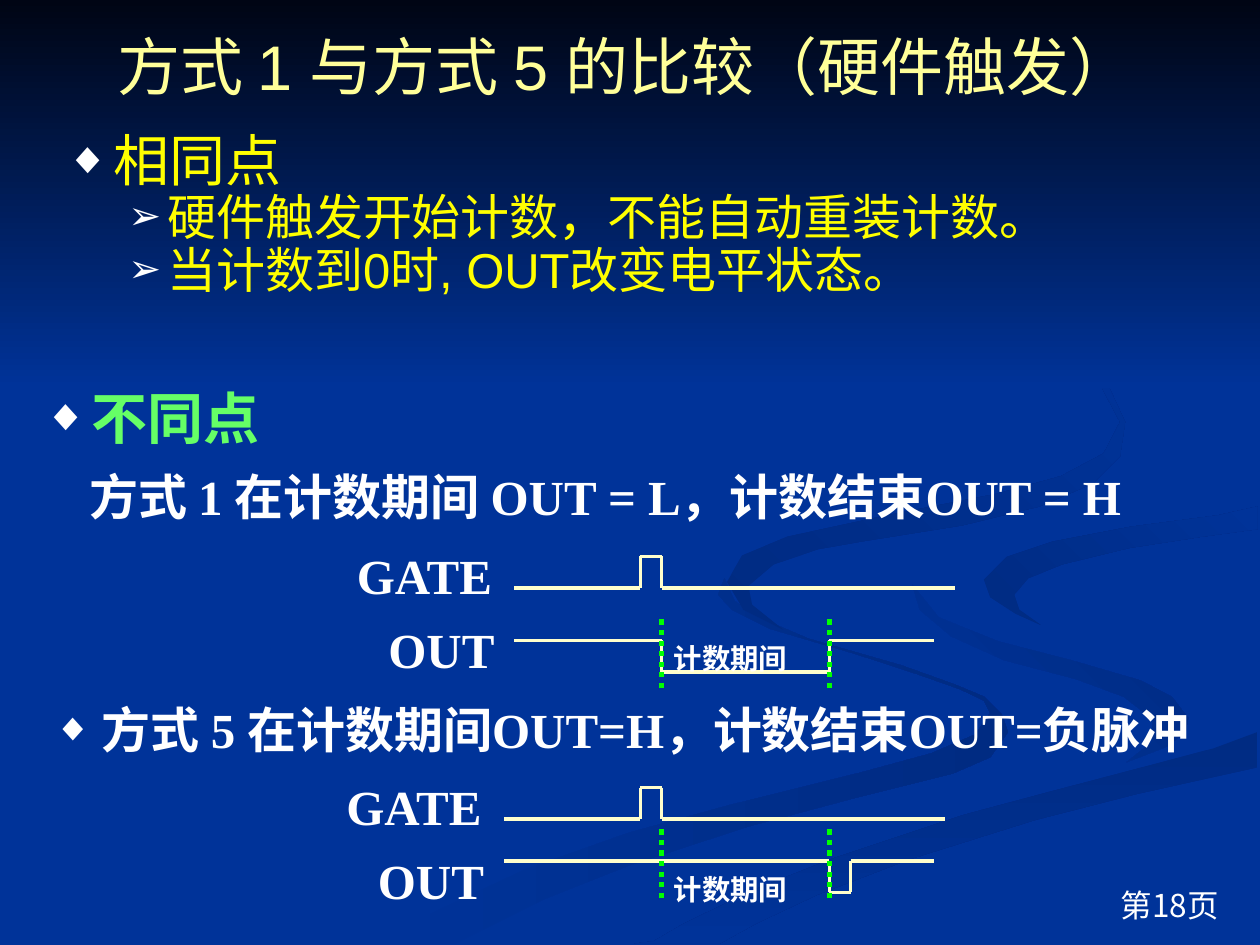
from itertools import pairwise

from lxml import etree
from pptx import Presentation
from pptx.dml.color import RGBColor
from pptx.enum.dml import MSO_LINE
from pptx.enum.shapes import MSO_CONNECTOR, MSO_SHAPE
from pptx.enum.text import MSO_ANCHOR, PP_ALIGN
from pptx.oxml.ns import qn
from pptx.util import Emu, Inches, Pt

RECT = MSO_SHAPE.RECTANGLE
STRAIGHT = MSO_CONNECTOR.STRAIGHT
DOT = MSO_LINE.ROUND_DOT
MIDDLE = MSO_ANCHOR.MIDDLE
CENTER, RIGHT = PP_ALIGN.CENTER, PP_ALIGN.RIGHT

BLUE = RGBColor(0x00, 0x33, 0x99)
NIGHT = RGBColor(0x00, 0x05, 0x14)
SHADE = RGBColor(0x00, 0x2B, 0x82)
WHITE = RGBColor(0xFF, 0xFF, 0xFF)
CREAM = RGBColor(0xFF, 0xFF, 0xCC)
PALE = RGBColor(0xFF, 0xFF, 0x99)
YELLOW = RGBColor(0xFF, 0xFF, 0x00)
LIME = RGBColor(0x66, 0xFF, 0x66)
GREEN = RGBColor(0x00, 0xFF, 0x00)

SANS, SERIF, HAN = "Arial", "Times New Roman", "Noto Sans CJK SC"
UNIT = Inches(1) // 12
CENT = Inches(1) // 100

SWIRLS = [
    (0, BLUE, SHADE, [
        (781, 553), (757, 543), (715, 528), (642, 507), (602, 490),
        (583, 477), (575, 459), (570, 472), (581, 484), (611, 499),
        (679, 519), (728, 535), (762, 547), (781, 556), (786, 566),
        (774, 583), (739, 598), (684, 613), (579, 639), (499, 661),
        (417, 690), (338, 727), (300, 749), (361, 749), (431, 714),
        (499, 687), (594, 656), (676, 634), (756, 614), (786, 601),
        (800, 581), (795, 567)]),
    (315, BLUE, SHADE, [
        (943, 570), (930, 553), (905, 540), (850, 524), (792, 509),
        (745, 490), (724, 464), (730, 484), (755, 505), (797, 524),
        (854, 539), (892, 553), (915, 571), (914, 589), (894, 605),
        (925, 593), (941, 581)]),
    (90, SHADE, BLUE, [
        (519, 747), (503, 749), (571, 749), (600, 733), (649, 710),
        (722, 682), (821, 651), (903, 630), (998, 609), (998, 581),
        (963, 594), (903, 610), (831, 629), (764, 647), (662, 681),
        (599, 706), (543, 733)]),
    (315, SHADE, BLUE, [
        (781, 460), (786, 474), (806, 487), (826, 496), (809, 484),
        (805, 472), (816, 459), (843, 448), (896, 435), (954, 426),
        (998, 420), (998, 402), (967, 409), (898, 418), (835, 430),
        (799, 442)]),
    (315, SHADE, BLUE, [
        (683, 430), (764, 417), (825, 402), (867, 384), (889, 362),
        (893, 335), (880, 307), (854, 283), (810, 256), (762, 233),
        (826, 266), (870, 299), (889, 335), (876, 360), (842, 378),
        (791, 392), (704, 409), (625, 426), (589, 441), (577, 462),
        (590, 484), (622, 500), (597, 480), (594, 465), (614, 448),
        (649, 436)]),
]


def shade(shape, angle, first, last):
    shape.shadow.inherit = False
    shape.line.fill.background()
    shape.fill.gradient()
    shape.fill.gradient_angle = (360 - angle) % 360
    for stop, color in zip(shape.fill.gradient_stops, (first, last)):
        stop.color.rgb = color


def add_swirl(slide, angle, first, last, points):
    pen = slide.shapes.build_freeform(*points[0], scale=CENT)
    pen.add_line_segments(points[1:], close=True)
    shade(pen.convert_to_shape(), angle, first, last)


def add_run(para, text, size, color, face, bold=False):
    run = para.add_run()
    run.text = text
    font = run.font
    font.size, font.name, font.bold = Pt(size), face, bold
    font.color.rgb = color
    etree.SubElement(run._r.rPr, qn("a:ea"), typeface=HAN)
    return run


def add_box(slide, left, top, width, height, wrap=True):
    box = slide.shapes.add_textbox(*map(Inches, (left, top, width, height)))
    box.text_frame.word_wrap = wrap
    return box.text_frame


def set_para(para, pitch, margin, hang=0, mark=None, before=0):
    para.line_spacing = Pt(pitch)
    para.space_before = Pt(before)
    props = para._p.get_or_add_pPr()
    props.set("marL", str(Inches(margin)))
    props.set("indent", str(-Inches(hang)))
    if mark:
        tint = etree.SubElement(props, qn("a:buClr"))
        etree.SubElement(tint, qn("a:srgbClr"), val=str(WHITE))
        etree.SubElement(props, qn("a:buSzPct"), val="80000")
        etree.SubElement(props, qn("a:buFont"), typeface=SANS)
        etree.SubElement(props, qn("a:buChar"), char=mark)


def add_line(slide, start, end, color, width, dash=None):
    ends = [Emu(UNIT * n) for n in (*start, *end)]
    line = slide.shapes.add_connector(STRAIGHT, *ends)
    line.line.color.rgb = color
    line.line.width = Pt(width)
    if dash:
        line.line.dash_style = dash
    etree.SubElement(line._element.spPr, qn("a:effectLst"))


def add_wave(slide, points):
    for start, end in pairwise(points):
        add_line(slide, start, end, CREAM, 2.25)


def add_label(slide, text, col, row):
    frame = add_box(slide, col / 12, row / 12, 1.2, 0.47)
    frame.margin_left = frame.margin_right = 0
    frame.margin_top = frame.margin_bottom = 0
    para = frame.paragraphs[0]
    para.line_spacing = Pt(33.5)
    add_run(para, text, 28, WHITE, SERIF, True)


def add_note(slide, col, row):
    para = add_box(slide, col / 12, row / 12, 1.26, 0.42, False).paragraphs[0]
    para.line_spacing = Pt(33)
    run = add_run(para, "计数期间", 28, WHITE, SERIF, True)
    run._r.rPr.set("baseline", "30000")


def add_timing(slide, left, gate, out, drop, rise, mark, note):
    add_wave(slide, [(left, gate), (61, gate), (61, gate - 3),
                     (63, gate - 3), (63, gate), (left + 42, gate)])
    add_wave(slide, [(left, out), (drop, out), (drop, out + 3),
                     (rise, out + 3), (rise, out), (89, out)])
    for col in (63, 79):
        add_line(slide, (col, mark), (col, mark + 7), GREEN, 3, DOT)
    add_note(slide, 63, note)
    add_label(slide, "GATE", left - 15, gate - 4)
    add_label(slide, "OUT", left - 12, note - 1)


def add_title(slide):
    title = slide.shapes.title
    slide.shapes._spTree.append(title._element)
    title.left, title.top, title.width, title.height = map(
        Inches, (0.46, 0.15, 9, 0.74))
    frame = title.text_frame
    frame.vertical_anchor = MIDDLE
    para = frame.paragraphs[0]
    para.alignment = CENTER
    add_run(para, "方式 1 与方式 5 的比较（硬件触发）", 36, PALE, SANS)


def add_points(slide):
    frame = add_box(slide, 0.42, 0.97, 9.33, 2.08)
    para = frame.paragraphs[0]
    set_para(para, 37, 0.38, 0.38, "◆")
    add_run(para, "相同点", 32, YELLOW, SANS)
    for text in ("硬件触发开始计数，不能自动重装计数。",
                 "当计数到0时, OUT改变电平状态。"):
        para = frame.add_paragraph()
        set_para(para, 30, 0.81, 0.31, "➢")
        add_run(para, text, 28, YELLOW, SANS)

    frame = add_box(slide, 0.25, 2.97, 9.58, 1.25)
    para = frame.paragraphs[0]
    set_para(para, 40, 0.38, 0.38, "◆")
    add_run(para, "不同点", 32, LIME, SANS, True)
    para = frame.add_paragraph()
    set_para(para, 33, 0.36, before=10)
    add_run(para, "方式 1 在计数期间 OUT = L，计数结束OUT = H",
            28, WHITE, SERIF, True)

    frame = add_box(slide, 0.33, 5.51, 9.33, 0.58)
    para = frame.paragraphs[0]
    set_para(para, 33, 0.38, 0.38, "◆")
    add_run(para, "方式 5 在计数期间OUT=H，计数结束OUT=负脉冲",
            28, WHITE, SERIF, True)


def main():
    deck = Presentation()
    deck.slide_width, deck.slide_height = Inches(10), Inches(7.5)
    slide = deck.slides.add_slide(deck.slide_layouts[5])
    slide.background.fill.solid()
    slide.background.fill.fore_color.rgb = BLUE
    for swirl in SWIRLS:
        add_swirl(slide, *swirl)
    band = slide.shapes.add_shape(RECT, 0, 0, deck.slide_width, Inches(3.08))
    shade(band, 90, NIGHT, BLUE)
    add_title(slide)
    add_points(slide)
    add_timing(slide, 49, 56, 61, drop=63, rise=79, mark=59, note=60)
    add_timing(slide, 48, 78, 82, drop=79, rise=81, mark=79, note=82)
    para = add_box(slide, 7.36, 6.98, 2.41, 0.37).paragraphs[0]
    para.alignment = RIGHT
    add_run(para, "第18页", 18, WHITE, HAN)
    deck.save("out.pptx")


if __name__ == "__main__":
    main()
